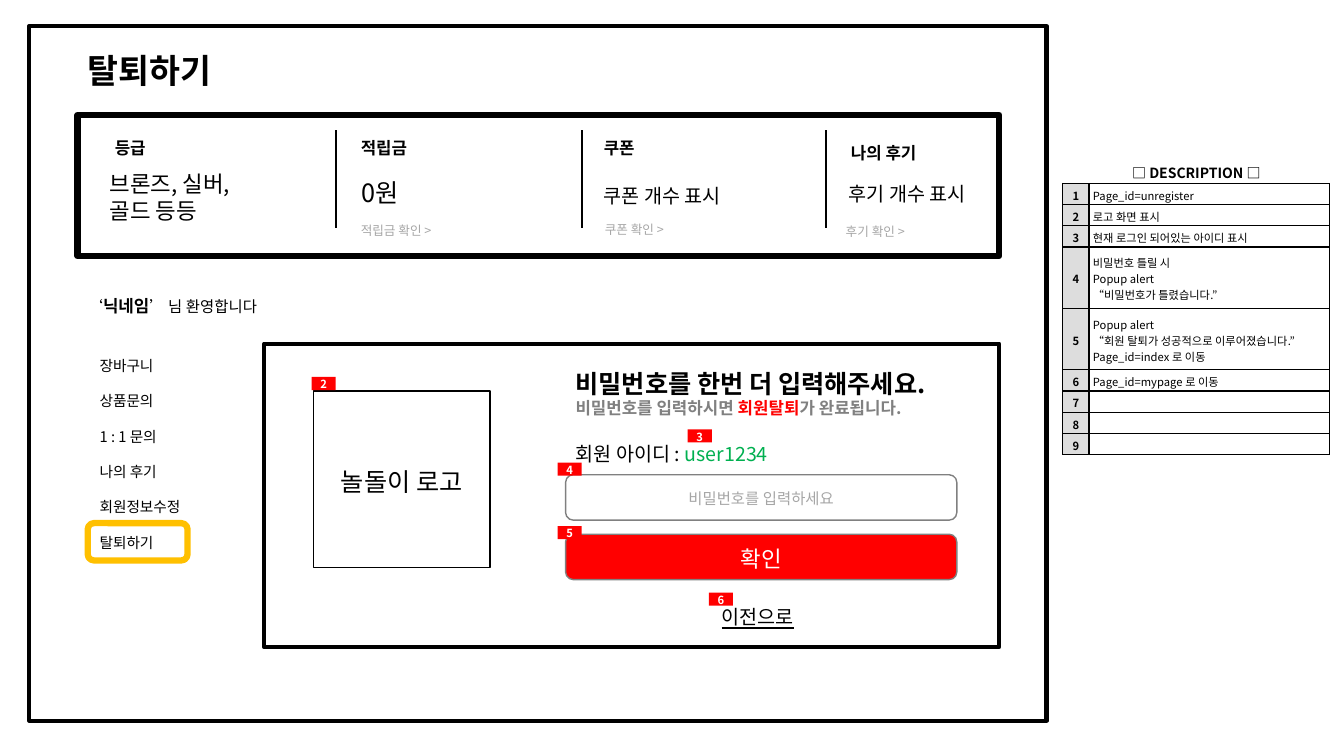
from lxml.etree import SubElement
from pptx import Presentation
from pptx.dml.color import RGBColor
from pptx.enum.shapes import MSO_CONNECTOR, MSO_SHAPE
from pptx.enum.text import MSO_ANCHOR, MSO_AUTO_SIZE, PP_ALIGN
from pptx.oxml.ns import qn
from pptx.util import Inches, Pt

COLORS = {"black": "000000", "white": "FFFFFF", "red": "FF0000", "green": "00B050",
          "gray": "808080", "light": "A6A6A6", "head": "DDDDDD", "amber": "FFC000"}
RECT, ROUND = MSO_SHAPE.RECTANGLE, MSO_SHAPE.ROUNDED_RECTANGLE


def rgb(name):
    """Return the named colour."""
    return RGBColor.from_string(COLORS[name])


class Board:
    """Holds the text style and the current slide."""

    font = "Noto Sans CJK KR"

    def __init__(self, prs):
        """Add a title-only slide."""
        self.s = prs.slides.add_slide(prs.slide_layouts[5])

    def style(self, r, size, color="black", bold=False, underline=False):
        """Format one run."""
        r.font.size, r.font.bold = Pt(size), bold
        r.font.color.rgb = rgb(color)
        r.font.name = self.font
        SubElement(r.font._element, qn("a:ea"), typeface=self.font)
        if underline:
            r.font.underline = True

    def fill_text(self, tf, lines, align=PP_ALIGN.LEFT, leading=1.2, gap=0):
        """Fill a frame with lines, each a list of (text, size, ...) runs."""
        for i, runs in enumerate(lines):
            p = tf.add_paragraph() if i else tf.paragraphs[0]
            p.alignment = align
            p.line_spacing = Pt(round(runs[0][1] * leading, 1))
            p.space_before = Pt(gap if i else 0)
            for text, *look in runs:
                r = p.add_run()
                r.text = text
                self.style(r, *look)

    def frame(self, tf, size, wrap):
        """Prepare a top-anchored frame."""
        tf.word_wrap, tf.auto_size = wrap, MSO_AUTO_SIZE.NONE
        tf.vertical_anchor = MSO_ANCHOR.TOP
        tf.margin_left = tf.margin_right = Inches(0.1)
        tf.margin_top, tf.margin_bottom = Pt(round(3.6 + 0.08 * size, 1)), 0

    def title(self, text, box, size):
        """Place the slide title."""
        sp = self.s.shapes.title
        sp.left, sp.top, sp.width, sp.height = map(Inches, box)
        self.frame(sp.text_frame, size, False)
        self.fill_text(sp.text_frame, [[(text, size, "black", True)]])

    def text(self, box, *lines, wrap=False, gap=0):
        """Add a text box."""
        tf = self.s.shapes.add_textbox(*map(Inches, box)).text_frame
        self.frame(tf, lines[0][0][1], wrap)
        self.fill_text(tf, lines, gap=gap)

    def shape(self, kind, box, line=None, width=1, fill=None, label=None):
        """Add a shape with an optional centred label run."""
        sp = self.s.shapes.add_shape(kind, *map(Inches, box))
        sp.shadow.inherit = False
        if fill:
            sp.fill.solid()
            sp.fill.fore_color.rgb = rgb(fill)
        else:
            sp.fill.background()
        if line:
            sp.line.color.rgb, sp.line.width = rgb(line), Pt(width)
        else:
            sp.line.fill.background()
        if label:
            tf = sp.text_frame
            tf.word_wrap, tf.vertical_anchor = False, MSO_ANCHOR.MIDDLE
            tf.margin_left = tf.margin_right = tf.margin_bottom = 0
            tf.margin_top = Pt(round(0.14 * label[1], 1))
            self.fill_text(tf, [[label]], PP_ALIGN.CENTER)

    def divider(self, x, top, bottom):
        """Add a vertical line."""
        c = self.s.shapes.add_connector(MSO_CONNECTOR.STRAIGHT, Inches(x), Inches(top),
                                        Inches(x), Inches(bottom))
        c.line.color.rgb, c.line.width = rgb("black"), Pt(1.5)
        SubElement(c._element.spPr, qn("a:effectLst"))

    def borders(self, cell, shown):
        """Draw black borders on the shown sides and none on the others."""
        pr = cell._tc.get_or_add_tcPr()
        for i, side in enumerate("LRTB"):
            ln = SubElement(pr, qn("a:ln" + side), w=str(Pt(1)))
            pr.insert(i, ln)
            if side in shown:
                fill = SubElement(ln, qn("a:solidFill"))
                SubElement(fill, qn("a:srgbClr"), val=COLORS["black"])
            else:
                SubElement(ln, qn("a:noFill"))

    def cell(self, cell, lines, size=8, bold=False, fill="white", shown="LRTB",
             align=PP_ALIGN.LEFT):
        """Fill and format one table cell."""
        cell.fill.solid()
        cell.fill.fore_color.rgb = rgb(fill)
        cell.vertical_anchor = MSO_ANCHOR.MIDDLE
        cell.margin_left = cell.margin_right = Inches(0.04)
        cell.margin_top, cell.margin_bottom = Inches(0.04), Inches(0.01)
        self.borders(cell, shown)
        if lines:
            runs = [[(text, size, "black", bold)] for text in lines]
            self.fill_text(cell.text_frame, runs, align, 1.43)
        else:
            cell.text_frame.paragraphs[0]._p.get_or_add_endParaRPr().set("sz", str(size * 100))

    def table(self, box, widths, heights, heading, notes):
        """Add the numbered description table."""
        t = self.s.shapes.add_table(len(heights), 2, *map(Inches, box)).table
        t.first_row = t.horz_banding = False
        for col, w in zip(t.columns, widths):
            col.width = Inches(w)
        for row, h in zip(t.rows, heights):
            row.height = Inches(h)
        t.cell(0, 0).merge(t.cell(0, 1))
        for c in range(2):
            self.cell(t.cell(0, c), [] if c else [heading], 10, True,
                      shown="B", align=PP_ALIGN.CENTER)
        for i, lines in enumerate(notes, 1):
            self.cell(t.cell(i, 0), [str(i)], bold=True, fill="head", align=PP_ALIGN.CENTER)
            self.cell(t.cell(i, 1), lines)


prs = Presentation()
prs.slide_width, prs.slide_height = Inches(13.33), Inches(7.5)
b = Board(prs)

b.shape(RECT, (0.29, 0.26, 10.09, 6.89), "black", 3)
b.title("탈퇴하기", (0.77, 0.42, 1.55, 0.5), 24)
b.text((0.77, 2.89, 1.88, 0.3),
       [("‘", 11), ("닉네임", 12, "black", True), ("’ 님 환영합니다", 11)], wrap=True)
menu = ["장바구니", "상품문의", "1 : 1 문의", "나의 후기", "회원정보수정", "탈퇴하기"]
b.text((0.89, 3.48, 1.09, 2.04), *[[(item, 10.5)] for item in menu], gap=12.6)

b.shape(RECT, (0.77, 1.14, 9.14, 1.4), "black", 4.5)
for x in (3.33, 5.77, 8.19):
    b.divider(x, 1.29, 2.26)

SUMMARY = [
    ("등급", 1.04, 1.3, "브론즈, 실버,골드 등등", 16, (0.99, 1.62, 1.52, 0.64)),
    ("적립금", 3.48, 1.3, "0원", 18, (3.49, 1.69, 1.41, 0.4)),
    ("쿠폰", 5.89, 1.3, "쿠폰 개수 표시", 14, (5.89, 1.76, 1.92, 0.34)),
    ("나의 후기", 8.34, 1.35, "후기 개수 표시", 14, (8.32, 1.74, 1.74, 0.34)),
]
for name, x, y, value, size, box in SUMMARY:
    b.text((x, y, 1.41, 0.3), [(name, 12, "black", True)], wrap=True)
    b.text(box, [(value, size)], wrap=True)
for link, x, y in [("적립금 확인 >", 3.48, 2.15), ("쿠폰 확인 >", 5.9, 2.14),
                   ("후기 확인 >", 8.29, 2.16)]:
    b.text((x, y, 1, 0.25), [(link, 9, "light")])

b.shape(RECT, (2.62, 3.41, 7.29, 3.01), "black", 3)
b.shape(RECT, (3.11, 3.88, 1.75, 1.75), "black", label=("놀돌이 로고", 18))
b.text((5.61, 3.58, 4.07, 0.61),
       [("비밀번호를 한번 더 입력해주세요.", 18, "black", True)],
       [("비밀번호를 입력하시면 ", 12, "gray", True), ("회원탈퇴", 12, "red", True),
        ("가 완료됩니다.", 12, "gray", True)])
b.text((5.61, 4.32, 2.33, 0.34), [("회원 아이디 : ", 14), ("user1234", 14, "green")])
for y, fill, label in [(4.71, "white", ("비밀번호를 입력하세요", 11, "light")),
                       (5.3, "red", ("확인", 16, "white"))]:
    b.shape(ROUND, (5.61, y, 3.88, 0.45), "gray", 1, fill, label)
b.text((7.06, 5.94, 0.99, 0.34), [("이전으로", 14, "black", False, True)])

NOTES = [
    ["Page_id=unregister"],
    ["로고 화면 표시"],
    ["현재 로그인 되어있는 아이디 표시"],
    ["비밀번호 틀릴 시", "Popup alert", "“비밀번호가 틀렸습니다.”"],
    ["Popup alert", "“회원 탈퇴가 성공적으로 이루어졌습니다.”", "Page_id=index 로 이동"],
    ["Page_id=mypage 로 이동"],
    [], [], [],
]
heights = [0.25] + [0.61 if len(lines) > 1 else 0.21 for lines in NOTES]
b.table((10.54, 1.57, 2.65, 3.01), (0.26, 2.39), heights, "□ DESCRIPTION □", NOTES)

b.shape(ROUND, (0.87, 5.19, 0.99, 0.37), "amber", 4.5)
BADGES = [(3.09, 3.74), (6.82, 4.26), (5.53, 4.59), (5.53, 5.22), (7.03, 5.88)]
for n, (x, y) in enumerate(BADGES, 2):
    b.shape(RECT, (x, y, 0.24, 0.13), fill="red", label=(str(n), 8, "white", True))

prs.save("out.pptx")
